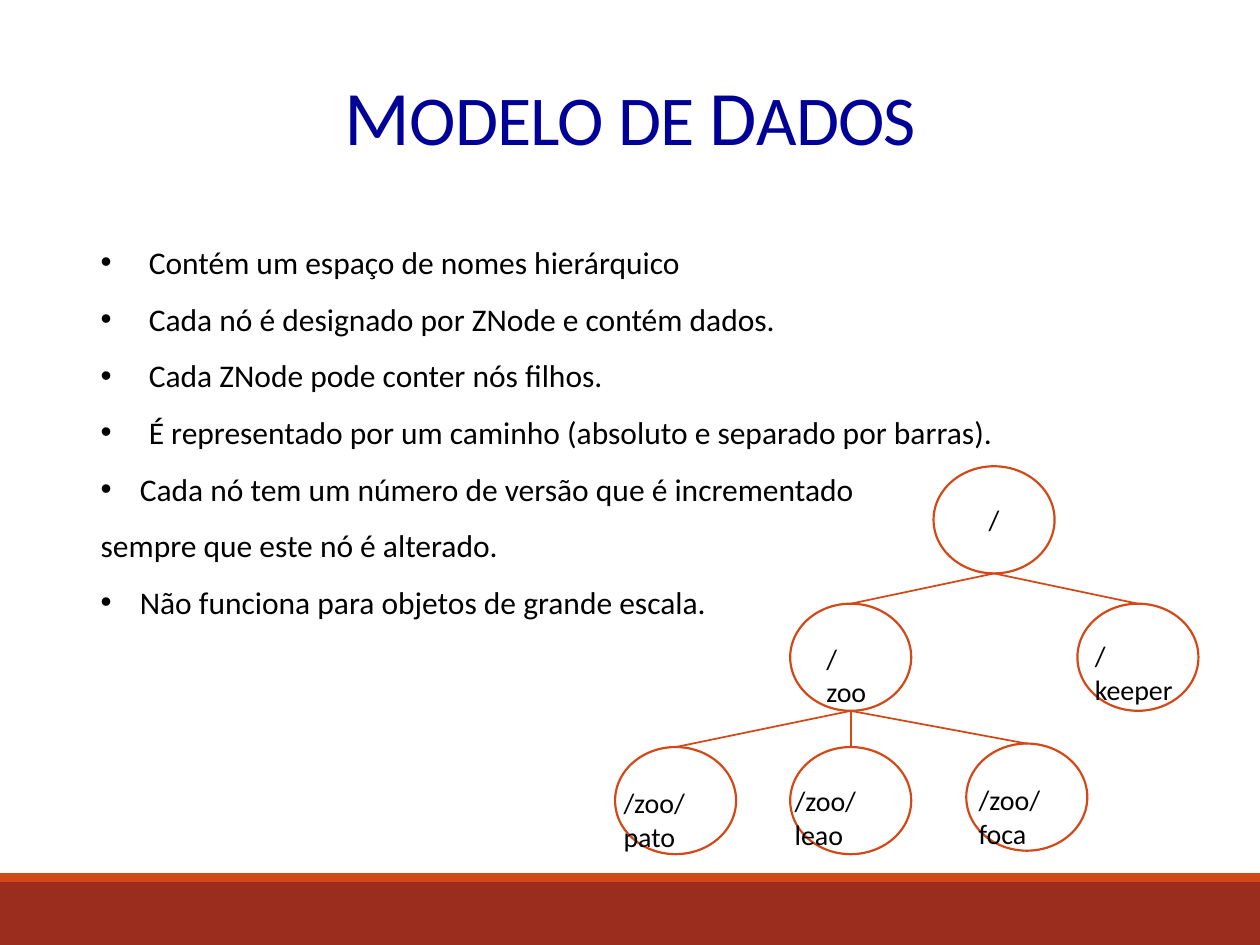
from dataclasses import dataclass

from lxml.etree import SubElement
from pptx import Presentation
from pptx.dml.color import RGBColor
from pptx.enum.shapes import MSO_CONNECTOR as Connector, MSO_SHAPE as Preset
from pptx.enum.text import MSO_ANCHOR as Anchor, PP_ALIGN as Align
from pptx.oxml.ns import qn
from pptx.util import Cm, Pt


@dataclass(frozen=True)
class Theme:
    """Colours, font and type sizes of the deck."""
    font: str = "Calibri"
    title: str = "000099"
    text: str = "000000"
    paper: str = "FFFFFF"
    accent: str = "D34817"
    footer: str = "9B2D1F"
    title_cap: int = 44
    title_size: int = 40
    body_size: int = 18
    label_size: int = 16
    node_line: float = 1.25
    edge_line: float = 1


THEME = Theme()
NODE_WIDTH, NODE_HEIGHT = 2.44, 2.16
LABEL_HEIGHT = 0.94

TITLE = [("M", THEME.title_cap), ("ODELO DE ", THEME.title_size),
         ("D", THEME.title_cap), ("ADOS", THEME.title_size)]

WIDE, NARROW = 0.97, 0.79
BODY = [
    ("Contém um espaço de nomes hierárquico", WIDE),
    ("Cada nó é designado por ZNode e contém dados.", WIDE),
    ("Cada ZNode pode conter nós filhos.", WIDE),
    ("É representado por um caminho (absoluto e separado por barras).", WIDE),
    ("Cada nó tem um número de versão que é incrementado", NARROW),
    ("sempre que este nó é alterado.", 0),
    ("Não funciona para objetos de grande escala.", NARROW),
]

NODES = {
    "/": (18.82, 9.4),
    "/zoo": (15.93, 12.17),
    "/zoo/pato": (12.4, 15.06),
    "/zoo/leao": (15.93, 15.06),
    "/zoo/foca": (19.48, 14.99),
    "/keeper": (21.72, 12.17),
}
EDGES = [("/", "/zoo"), ("/", "/keeper"), ("/zoo", "/zoo/pato"),
         ("/zoo", "/zoo/leao"), ("/zoo", "/zoo/foca")]
LABELS = {
    "/zoo": (16.41, 12.8, 1.47),
    "/zoo/pato": (12.32, 15.72, 2.67),
    "/zoo/leao": (15.77, 15.67, 2.59),
    "/zoo/foca": (19.48, 15.65, 2.59),
    "/keeper": (21.82, 12.75, 2.18),
}


def style_span(span, size, color=THEME.text):
    """Give a run its font, size and colour."""
    span.font.name = THEME.font
    span.font.size = Pt(size)
    span.font.color.rgb = RGBColor.from_string(color)


def add_box(shapes, left, top, width, height):
    """Add a wrapping text box and return its text frame."""
    box = shapes.add_textbox(Cm(left), Cm(top), Cm(width), Cm(height))
    box.text_frame.word_wrap = True
    return box.text_frame


def add_preset(shapes, preset, left, top, width, height, fill, line=None):
    """Add a flat preset shape, outlined only when a line colour is given."""
    shape = shapes.add_shape(preset, Cm(left), Cm(top), Cm(width), Cm(height))
    shape.shadow.inherit = False
    shape.fill.solid()
    shape.fill.fore_color.rgb = RGBColor.from_string(fill)
    if line:
        shape.line.color.rgb = RGBColor.from_string(line)
        shape.line.width = Pt(THEME.node_line)
    else:
        shape.line.fill.background()
    return shape


def add_title(shapes):
    """Add the heading with its enlarged initials."""
    para = add_box(shapes, 0, 1.55, 25.4, 2.97).paragraphs[0]
    para.alignment = Align.CENTER
    para.line_spacing = 0.85
    for text, size in TITLE:
        span = para.add_run()
        span.text = text
        style_span(span, size, THEME.title)
        span.font._element.set("spc", "-50")


def set_bullet(para, indent):
    """Hang a round bullet in front of a paragraph."""
    properties = para._p.get_or_add_pPr()
    properties.set("marL", str(Cm(indent)))
    properties.set("indent", str(-Cm(indent)))
    SubElement(properties, qn("a:buFont"), typeface="Arial")
    SubElement(properties, qn("a:buChar"), char="•")


def add_body(shapes):
    """Add the bulleted statements."""
    frame = add_box(shapes, 1.78, 4.39, 21.87, 8.33)
    frame.text = "\n".join(text for text, _ in BODY)
    for para, (_, indent) in zip(frame.paragraphs, BODY):
        para.alignment = Align.JUSTIFY
        para.line_spacing = 1.5
        if indent:
            set_bullet(para, indent)
        style_span(para.runs[0], THEME.body_size)


def add_edge(shapes, parent, child):
    """Draw a line from the bottom of a parent to the top of its child."""
    edge = shapes.add_connector(
        Connector.STRAIGHT, parent.left + parent.width // 2,
        parent.top + parent.height, child.left + child.width // 2, child.top)
    edge.end_connect(child, 0)
    edge.line.color.rgb = RGBColor.from_string(THEME.accent)
    edge.line.width = Pt(THEME.edge_line)
    SubElement(edge._element.spPr, qn("a:effectLst"))


def add_label(shapes, text, left, top, width):
    """Add the path name of a node."""
    frame = add_box(shapes, left, top, width, LABEL_HEIGHT)
    frame.text = text
    style_span(frame.paragraphs[0].runs[0], THEME.label_size)


def add_tree(shapes):
    """Draw the hierarchy of nodes."""
    nodes = {name: add_preset(shapes, Preset.OVAL, left, top, NODE_WIDTH,
                              NODE_HEIGHT, THEME.paper, THEME.accent)
             for name, (left, top) in NODES.items()}
    root = nodes["/"].text_frame
    root.text = "/"
    root.vertical_anchor = Anchor.MIDDLE
    root.paragraphs[0].alignment = Align.CENTER
    style_span(root.paragraphs[0].runs[0], THEME.label_size)
    for parent, child in EDGES:
        add_edge(shapes, nodes[parent], nodes[child])
    for text, place in LABELS.items():
        add_label(shapes, text, *place)


def main():
    """Build and save the slide."""
    deck = Presentation()
    deck.slide_width, deck.slide_height = Cm(25.4), Cm(19.05)
    slide = deck.slides.add_slide(deck.slide_layouts[6])
    shapes = slide.shapes
    add_preset(shapes, Preset.RECTANGLE, 0, 17.78, 25.4, 1.27, THEME.footer)
    add_preset(shapes, Preset.RECTANGLE, 0, 17.6, 25.4, 0.18, THEME.accent)
    add_title(shapes)
    add_body(shapes)
    add_tree(shapes.add_group_shape().shapes)
    deck.save("out.pptx")


if __name__ == "__main__":
    main()
